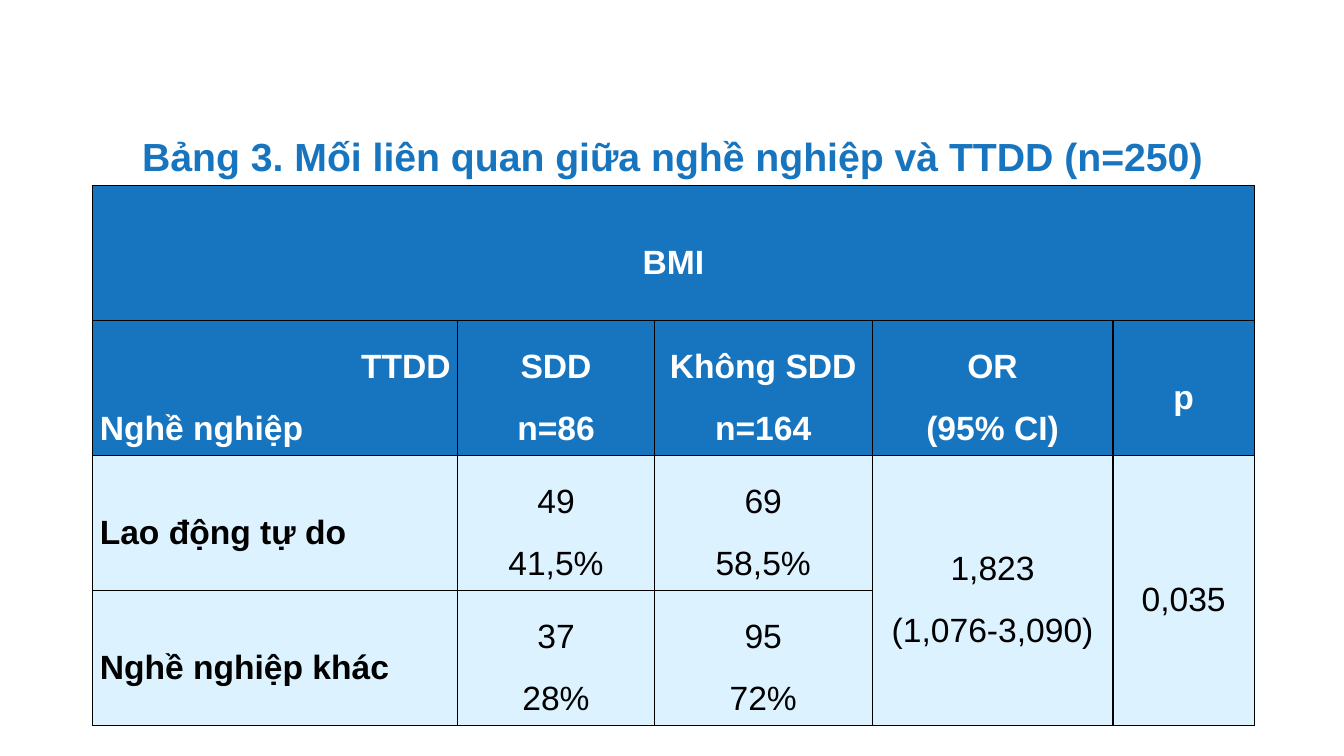
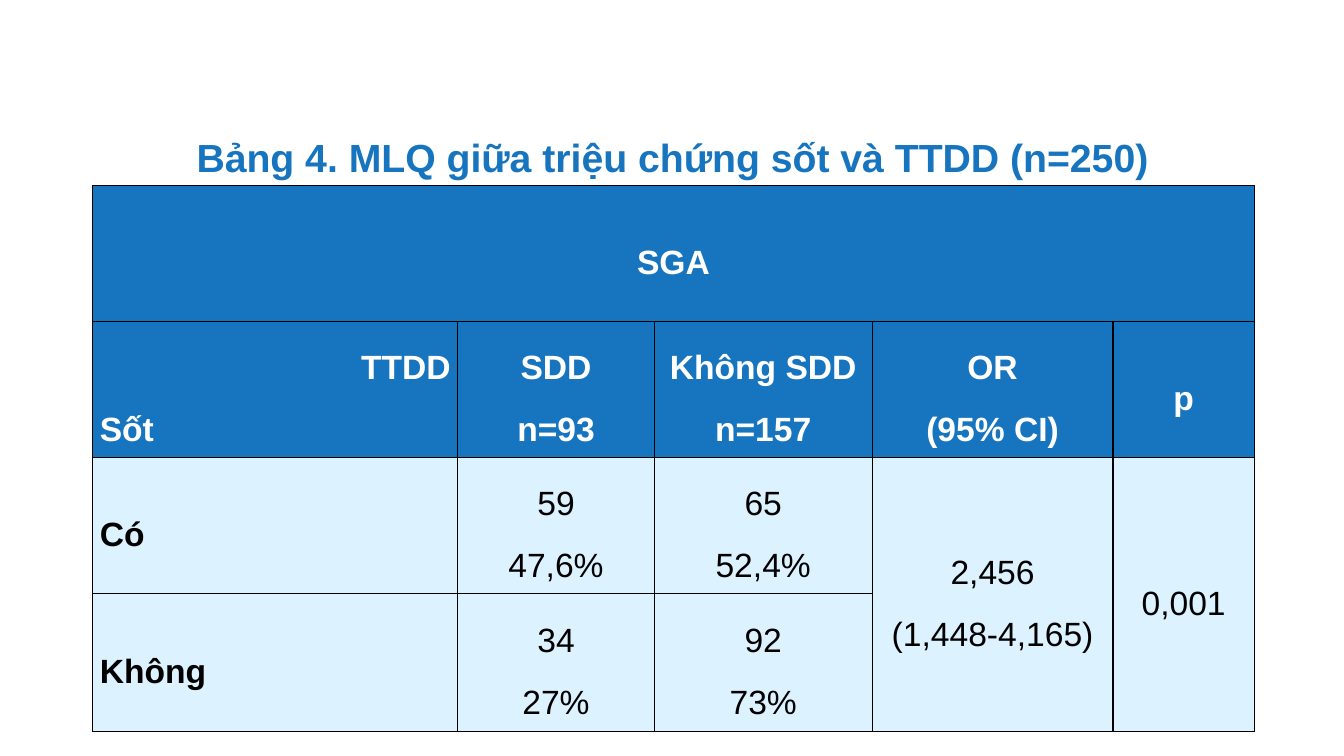
from dataclasses import dataclass

from lxml.etree import SubElement
from pptx import Presentation
from pptx.dml.color import RGBColor
from pptx.enum.text import MSO_ANCHOR as Anchor, MSO_AUTO_SIZE as AutoSize, PP_ALIGN as Align
from pptx.oxml.ns import qn
from pptx.slide import Slide
from pptx.table import Table, _Cell as Cell
from pptx.text.text import _Paragraph as Paragraph
from pptx.util import Inches, Pt

FONT = "Arial"
BLUE, PALE_BLUE, WHITE, BLACK = "1775BF", "DDF2FF", "FFFFFF", "000000"
LEFT, WIDTH = 0.92, 11.5
TABLE_TOP, TITLE_HEIGHT = 1.84, 0.57
COLUMN_WIDTHS = (3.62, 1.95, 2.16, 2.39, 1.4)
HEADER_ROWS = 2


@dataclass
class Group:
    name: str
    malnourished: tuple[str, str]
    nourished: tuple[str, str]


@dataclass
class RiskTable:
    title: str
    title_top: float
    measure: str
    factor: str
    malnourished_total: str
    nourished_total: str
    groups: tuple[Group, Group]
    odds_ratio: tuple[str, str]
    p_value: str
    row_heights: tuple[float, ...]


RISK_TABLES = (
    RiskTable(
        "Bảng 3. Mối liên quan giữa nghề nghiệp và TTDD (n=250)", 1.26,
        "BMI", "Nghề nghiệp", "n=86", "n=164",
        (Group("Lao động tự do", ("49", "41,5%"), ("69", "58,5%")),
         Group("Nghề nghiệp khác", ("37", "28%"), ("95", "72%"))),
        ("1,823", "(1,076-3,090)"), "0,035", (1.34, 1.34, 1.34, 1.34),
    ),
    RiskTable(
        "Bảng 4. MLQ giữa triệu chứng sốt và TTDD (n=250)", 1.27,
        "SGA", "Sốt", "n=93", "n=157",
        (Group("Có", ("59", "47,6%"), ("65", "52,4%")),
         Group("Không", ("34", "27%"), ("92", "73%"))),
        ("2,456", "(1,448-4,165)"), "0,001", (1.35, 1.35, 1.35, 1.37),
    ),
)


def color(value: str) -> RGBColor:
    return RGBColor.from_string(value)


def add_text(paragraph: Paragraph, text: str, size: int, text_color: str,
             bold: bool, align: Align) -> None:
    paragraph.alignment = align
    run = paragraph.add_run()
    run.text = text
    run.font.name = FONT
    run.font.size = Pt(size)
    run.font.bold = bold
    run.font.color.rgb = color(text_color)


def add_title(slide: Slide, text: str, top: float) -> None:
    title = slide.shapes.title
    title.left, title.top = Inches(LEFT), Inches(top)
    title.width, title.height = Inches(WIDTH), Inches(TITLE_HEIGHT)
    frame = title.text_frame
    frame.auto_size = AutoSize.NONE
    frame.word_wrap = True
    frame.vertical_anchor = Anchor.TOP
    add_text(frame.paragraphs[0], text, 28, BLUE, True, Align.CENTER)


def add_borders(cell: Cell) -> None:
    properties = cell._tc.get_or_add_tcPr()
    for side in ("lnL", "lnR", "lnT", "lnB"):
        line = SubElement(properties, qn(f"a:{side}"), w=str(Pt(1)))
        fill = SubElement(line, qn("a:solidFill"))
        SubElement(fill, qn("a:srgbClr"), val=BLACK)


def format_cell(cell: Cell, fill_color: str) -> None:
    add_borders(cell)  # borders must precede the fill in the cell's XML
    cell.fill.solid()
    cell.fill.fore_color.rgb = color(fill_color)
    cell.vertical_anchor = Anchor.MIDDLE
    cell.margin_left = cell.margin_right = Inches(0.07)
    cell.margin_top = cell.margin_bottom = 0


def fill_cell(table: Table, row: int, column: int, lines: tuple[str, ...]) -> None:
    is_header = row < HEADER_ROWS
    frame = table.cell(row, column).text_frame
    for index, line in enumerate(lines):
        paragraph = frame.add_paragraph() if index else frame.paragraphs[0]
        paragraph.line_spacing = 1.5
        paragraph.space_before = paragraph.space_after = Pt(2)
        if row == 0 or column > 0:
            align = Align.CENTER
        else:
            align = Align.RIGHT if is_header and index == 0 else Align.LEFT
        add_text(paragraph, line, 24, WHITE if is_header else BLACK,
                 is_header or column == 0, align)


def add_risk_table(slide: Slide, data: RiskTable) -> None:
    first, second = data.groups
    rows = (
        ((data.measure,),),
        (("TTDD", data.factor), ("SDD", data.malnourished_total),
         ("Không SDD", data.nourished_total), ("OR", "(95% CI)"), ("p",)),
        ((first.name,), first.malnourished, first.nourished,
         data.odds_ratio, (data.p_value,)),
        ((second.name,), second.malnourished, second.nourished),
    )
    table = slide.shapes.add_table(
        len(rows), len(COLUMN_WIDTHS), Inches(LEFT), Inches(TABLE_TOP),
        Inches(WIDTH), Inches(sum(data.row_heights))).table
    table.first_row = table.horz_banding = False
    for column, width in zip(table.columns, COLUMN_WIDTHS):
        column.width = Inches(width)
    for index, (row, height) in enumerate(zip(table.rows, data.row_heights)):
        row.height = Inches(height)
        for cell in row.cells:
            format_cell(cell, BLUE if index < HEADER_ROWS else PALE_BLUE)

    table.cell(0, 0).merge(table.cell(0, 4))
    for column in (3, 4):
        table.cell(2, column).merge(table.cell(3, column))
    for row_index, cells in enumerate(rows):
        for column_index, lines in enumerate(cells):
            fill_cell(table, row_index, column_index, lines)


def main() -> None:
    presentation = Presentation()
    presentation.slide_width = Inches(13.33)
    presentation.slide_height = Inches(7.5)
    title_only = presentation.slide_layouts.get_by_name("Title Only")
    for data in RISK_TABLES:
        slide = presentation.slides.add_slide(title_only)
        add_title(slide, data.title, data.title_top)
        add_risk_table(slide, data)
    presentation.save("out.pptx")


if __name__ == "__main__":
    main()
